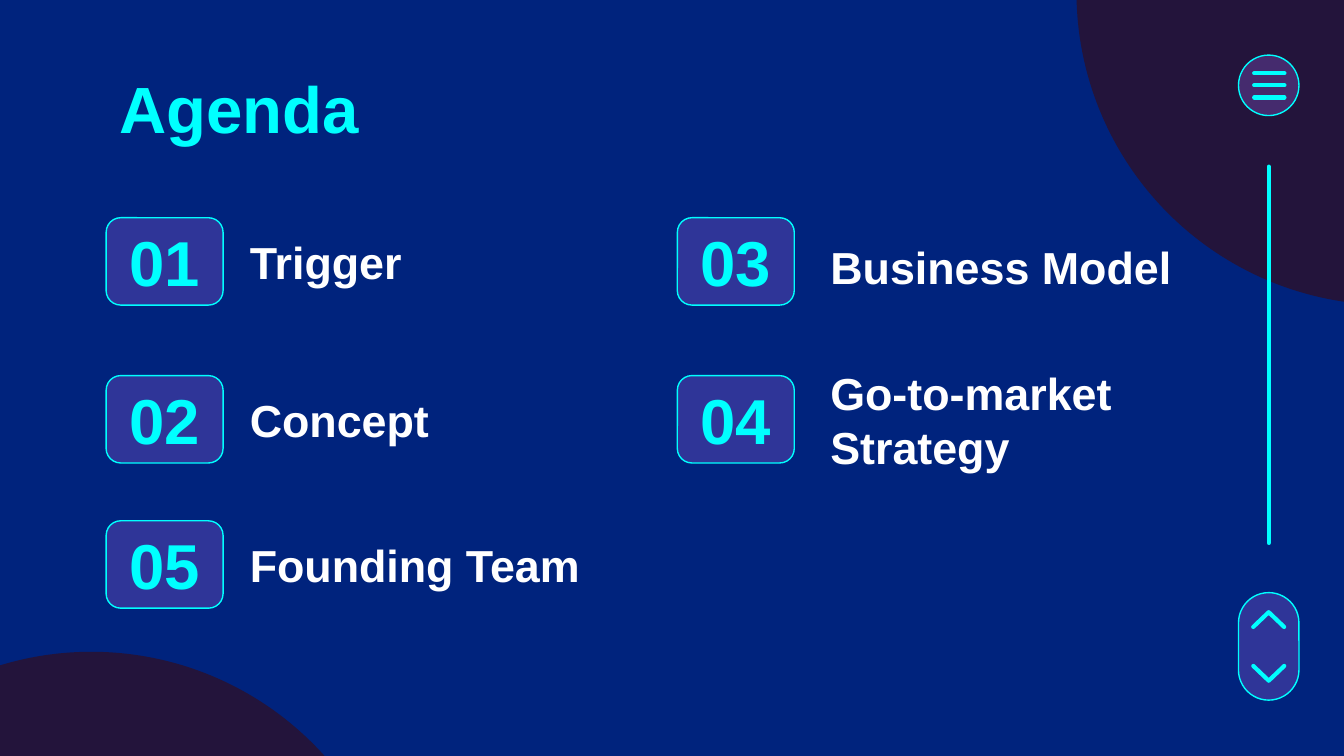
from lxml import etree
from pptx import Presentation, util as u
from pptx.dml.color import RGBColor
from pptx.enum import shapes, text
from pptx.oxml.ns import qn

HUES = {"back": "00237D", "disc": "23143B", "glow": "00FFFF",
        "pad": "8456C9", "word": "FFFFFF"}
COLS, ROWS = 100, 56.25
KIND = shapes.MSO_SHAPE
MID = text.PP_ALIGN.CENTER

deck = Presentation()
deck.slide_width = u.Inches(10)
deck.slide_height = u.Inches(10 * 9 / 16)
CELL_W, CELL_H = deck.slide_width / COLS, deck.slide_height / ROWS


def hue(key):
    return RGBColor.from_string(HUES[key])


def place(x, y, w, h):
    return [u.Emu(round(n * c)) for n, c in
            zip((x, y, w, h), (CELL_W, CELL_H, CELL_W, CELL_H))]


def apply(item, looks):
    for key, val in looks.items():
        setattr(item, key, val)


def stroke(item, width):
    item.line.color.rgb = hue("glow")
    item.line.width = u.Pt(width)
    if width > 1:
        item.line._get_or_add_ln().set("cap", "rnd")


def add_form(slide, kind, box, fill=None, alpha=None, line=None, adj=None, turn=0):
    form = slide.shapes.add_shape(kind, *place(*box))
    form.shadow.inherit = False
    form.rotation = turn
    if adj is not None:
        form.adjustments[0] = adj
    if fill:
        form.fill.solid()
        form.fill.fore_color.rgb = hue(fill)
    else:
        form.fill.background()
    if alpha:
        tint = form.fill._xPr.find(qn("a:solidFill"))[0]
        etree.SubElement(tint, qn("a:alpha")).set("val", str(alpha * 1000))
    if line:
        stroke(form, line)
    else:
        form.line.fill.background()


def add_pad(slide, box, adj):
    add_form(slide, KIND.ROUNDED_RECTANGLE, box, "pad", 36, 0.75, adj)


def add_line(slide, x, y, w, h):
    left, top, wide, high = place(x, y, w, h)
    line = slide.shapes.add_connector(
        shapes.MSO_CONNECTOR.STRAIGHT, left, top, left + wide, top + high)
    etree.SubElement(line._element.spPr, qn("a:effectLst"))
    stroke(line, 2.25)


def add_text(slide, box, words, size, ink, align=text.PP_ALIGN.LEFT):
    area = slide.shapes.add_textbox(*place(*box))
    edge = u.Inches(0.1)
    apply(area.text_frame, {
        "word_wrap": True, "vertical_anchor": text.MSO_ANCHOR.MIDDLE,
        "margin_left": edge, "margin_right": edge,
        "margin_top": edge, "margin_bottom": edge})
    para = area.text_frame.paragraphs[0]
    para.alignment = align
    run = para.add_run()
    run.text = words
    apply(run.font, {"name": "Arial", "size": u.Pt(size), "bold": True})
    run.font.color.rgb = hue(ink)


def draw_back(slide):
    slide.background.fill.solid()
    slide.background.fill.fore_color.rgb = hue("back")
    for x, y in ((-16.5, 48.5), (80.1, -23.9)):
        add_form(slide, KIND.OVAL, (x, y, 46.6, 46.6), "disc")


def draw_menu(slide, box):
    x, y, w, h = box
    add_pad(slide, box, 0.5)
    for step in (-1, 0, 1):
        add_line(slide, x + w * 0.26, y + h / 2 + step * h * 0.2, w * 0.5, 0)


def draw_pager(slide, box):
    x, y, w, h = box
    wide, high = 1.1, 2.3
    add_pad(slide, box, 0.5)
    for share, turn in ((0.25, 270), (0.75, 90)):
        mark = (x + (w - wide) / 2, y + h * share - high / 2, wide, high)
        add_form(slide, KIND.CHEVRON, mark, line=2.25, adj=1, turn=turn)


def draw_side(slide, box):
    x, y, w, h = box
    draw_menu(slide, (x, y, w, w))
    add_line(slide, x + w / 2, y + 8.3, 0, 28)
    draw_pager(slide, (x, y + h - 8, w, 8))


def draw_item(slide, box, num, words, gap, drop):
    x, y, w, h = box
    badge = 8.7
    add_pad(slide, (x, y, badge, h), 0.167)
    add_text(slide, (x, y + 0.85, badge, h - 1.7), num, 34, "glow", MID)
    start = badge + gap
    add_text(slide, (x + start, y + 0.35 + drop, w - start, h - 0.7),
             words, 24, "word")


def draw_list(slide, box):
    x, y, w, h = box
    tops = (0, 11.75, 22.55)
    left, right = (0, 38.5, 1), (42.5, 41.7, 1.7)
    items = (("01", "Trigger", left, 0, 0), ("02", "Concept", left, 1, 0),
             ("03", "Business Model", right, 0, 0.4),
             ("04", "Go-to-market Strategy", right, 1, 0),
             ("05", "Founding Team", left, 2, 0))
    for num, words, (shift, wide, gap), row, drop in items:
        draw_item(slide, (x + shift, y + tops[row], wide, h - tops[-1]),
                  num, words, gap, drop)


def main():
    slide = deck.slides.add_slide(deck.slide_layouts[6])
    draw_back(slide)
    draw_side(slide, (92.15, 4.1, 4.5, 48))
    add_text(slide, (7.9, 4.85, 84.3, 6.3), "Agenda", 35, "glow")
    draw_list(slide, (7.9, 16.2, 84.2, 29.05))
    deck.save("out.pptx")


if __name__ == "__main__":
    main()
